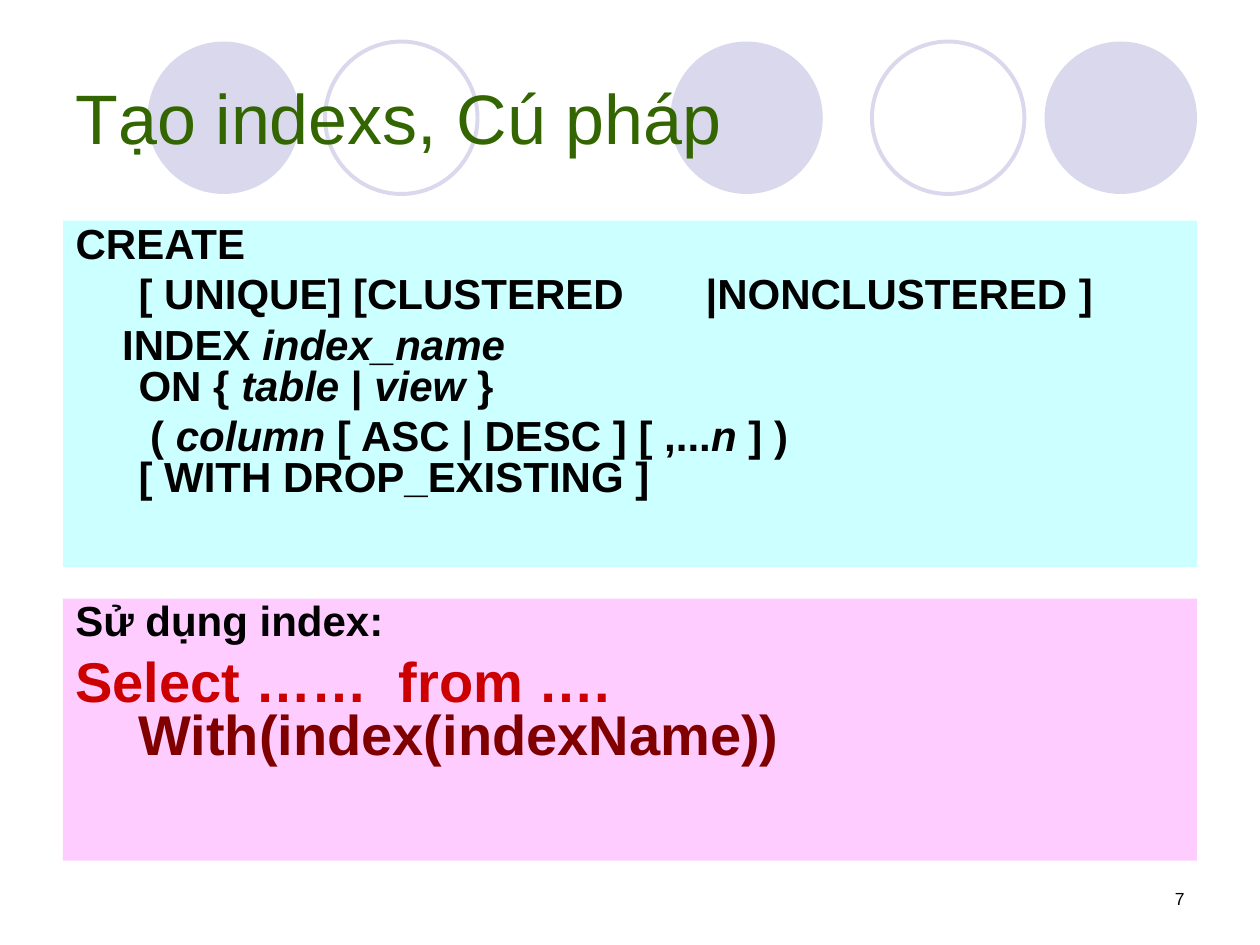
from typing import NamedTuple

from lxml.etree import SubElement
from pptx import Presentation
from pptx.dml.color import RGBColor
from pptx.enum.shapes import MSO_SHAPE
from pptx.enum.text import MSO_ANCHOR, MSO_AUTO_SIZE, PP_ALIGN
from pptx.oxml.ns import qn
from pptx.util import Inches, Pt

FONT = "Arial"
BLACK = RGBColor(0x00, 0x00, 0x00)
LAVENDER = RGBColor(0xD9, 0xD8, 0xEC)
GREEN = RGBColor(0x33, 0x66, 0x00)
CYAN = RGBColor(0xCC, 0xFF, 0xFF)
PINK = RGBColor(0xFF, 0xCC, 0xFF)
RED = RGBColor(0xCC, 0x00, 0x00)
MAROON = RGBColor(0x80, 0x00, 0x00)

CIRCLE_TOP, CIRCLE_SIZE = 0.33, 1.21
LEFT, WIDTH = 0.5, 9
HANGING = Inches(0.5)
TAB_COUNT = 8


class Circle(NamedTuple):
    left: float
    filled: bool


class Piece(NamedTuple):
    text: str
    italic: bool = False
    color: RGBColor = BLACK


class Line(NamedTuple):
    pieces: list[Piece]
    size: int = 24
    space_before: int = 6


CIRCLES = [
    Circle(5.32, True),
    Circle(8.29, True),
    Circle(1.17, True),
    Circle(6.92, False),
    Circle(2.58, False),
]

SYNTAX = [
    Line([Piece("CREATE")]),
    Line([Piece("\t[ UNIQUE] [CLUSTERED \t\t|NONCLUSTERED ]")]),
    Line([
        Piece("    INDEX "), Piece("index_name \n", True),
        Piece("ON { "), Piece("table ", True), Piece("|"),
        Piece(" view ", True), Piece("}"),
    ]),
    Line([
        Piece("\t ( "), Piece("column ", True),
        Piece("[ ASC | DESC ] [ ,..."), Piece("n ", True),
        Piece("] ) \n[ WITH DROP_EXISTING ]"),
    ]),
]

USAGE = [
    Line([Piece("Sử dụng index:")]),
    Line([
        Piece("Select ……  from …. ", color=RED),
        Piece("With(index(indexName))", color=MAROON),
    ], size=32, space_before=8),
]


def place(shape, left: float, top: float, width: float, height: float) -> None:
    shape.left, shape.top = Inches(left), Inches(top)
    shape.width, shape.height = Inches(width), Inches(height)


def add_circle(slide, circle: Circle) -> None:
    """Draw a decorative circle behind the title."""
    oval = slide.shapes.add_shape(
        MSO_SHAPE.OVAL, Inches(circle.left), Inches(CIRCLE_TOP),
        Inches(CIRCLE_SIZE), Inches(CIRCLE_SIZE))
    oval.shadow.inherit = False
    if circle.filled:
        oval.fill.solid()
        oval.fill.fore_color.rgb = LAVENDER
        oval.line.fill.background()
    else:
        oval.fill.background()
        oval.line.color.rgb = LAVENDER
        oval.line.width = Pt(2.25)
    slide.shapes.title._element.addprevious(oval._element)


def set_hanging_indent(paragraph) -> None:
    """Hang the first line, with no bullet and a tab stop at every inch."""
    properties = paragraph._p.get_or_add_pPr()
    properties.set("marL", str(HANGING))
    properties.set("indent", str(-HANGING))
    SubElement(properties, qn("a:buNone"))
    tabs = SubElement(properties, qn("a:tabLst"))
    for inch in range(TAB_COUNT):
        SubElement(tabs, qn("a:tab"), pos=str(Inches(inch)), algn="l")


def add_piece(paragraph, piece: Piece) -> None:
    for index, text in enumerate(piece.text.split("\n")):
        if index:
            paragraph.add_line_break()
        if text:
            run = paragraph.add_run()
            run.text = text
            run.font.italic = piece.italic
            run.font.color.rgb = piece.color


def fill_panel(panel, color: RGBColor, lines: list[Line]) -> None:
    panel.fill.solid()
    panel.fill.fore_color.rgb = color
    panel.line.fill.background()
    frame = panel.text_frame
    frame.word_wrap = True
    frame.auto_size = MSO_AUTO_SIZE.NONE
    frame.vertical_anchor = MSO_ANCHOR.TOP
    for index, line in enumerate(lines):
        paragraph = frame.add_paragraph() if index else frame.paragraphs[0]
        paragraph.alignment = PP_ALIGN.LEFT
        paragraph.line_spacing = 0.8
        paragraph.space_before = Pt(line.space_before)
        set_hanging_indent(paragraph)
        paragraph.font.name = FONT
        paragraph.font.size = Pt(line.size)
        paragraph.font.bold = True
        for piece in line.pieces:
            add_piece(paragraph, piece)


def write_line(shape, text: str, size: int, color: RGBColor, alignment: PP_ALIGN) -> None:
    shape.text_frame.word_wrap = True
    paragraph = shape.text_frame.paragraphs[0]
    paragraph.text = text
    paragraph.alignment = alignment
    paragraph.font.name = FONT
    paragraph.font.size = Pt(size)
    paragraph.font.color.rgb = color


def main() -> None:
    presentation = Presentation()
    presentation.slide_width, presentation.slide_height = Inches(10), Inches(7.5)
    slide = presentation.slides.add_slide(presentation.slide_layouts[1])

    for circle in CIRCLES:
        add_circle(slide, circle)

    title = slide.shapes.title
    place(title, LEFT, 0.3, WIDTH, 1.25)
    title.text_frame.vertical_anchor = MSO_ANCHOR.MIDDLE
    write_line(title, "Tạo indexs, Cú pháp", 40, GREEN, PP_ALIGN.LEFT)

    syntax = slide.placeholders[1]
    place(syntax, LEFT, 1.75, WIDTH, 2.75)
    fill_panel(syntax, CYAN, SYNTAX)

    usage = slide.shapes.add_textbox(
        Inches(LEFT), Inches(4.75), Inches(WIDTH), Inches(2.08))
    fill_panel(usage, PINK, USAGE)

    page_number = slide.shapes.add_textbox(
        Inches(7.17), Inches(7), Inches(2.33), Inches(0.33))
    write_line(page_number, "7", 10, BLACK, PP_ALIGN.RIGHT)

    presentation.save("out.pptx")


if __name__ == "__main__":
    main()
